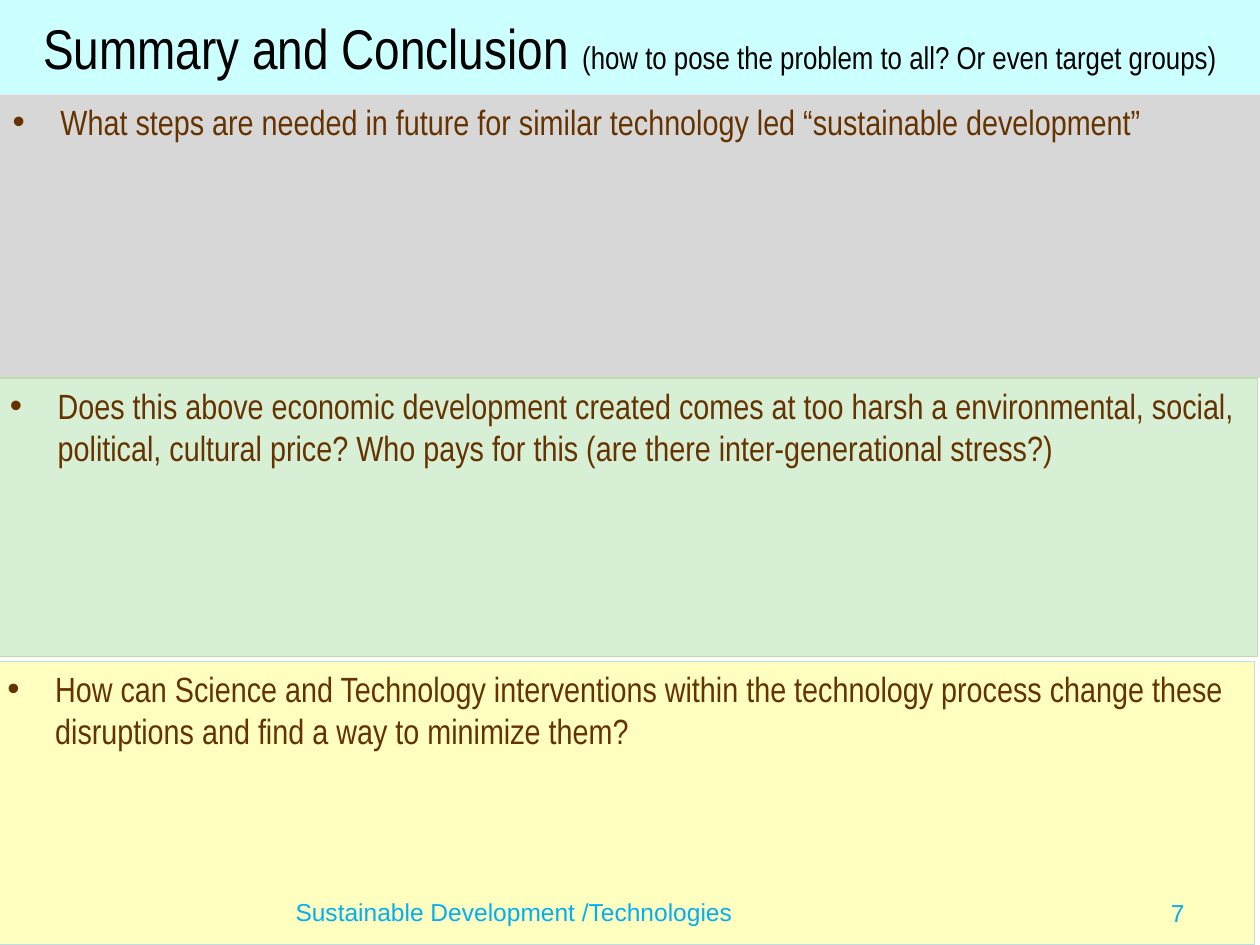
from lxml import etree
from pptx import Presentation
from pptx.dml.color import RGBColor
from pptx.enum.shapes import MSO_SHAPE as SHAPE
from pptx.enum.text import MSO_ANCHOR as ANCHOR, MSO_AUTO_SIZE as AUTOSIZE, PP_ALIGN as ALIGN
from pptx.oxml.ns import qn
from pptx.util import Inches, Pt

COLORS = {
    "title": "CCFFFF", "title_text": "000000", "text": "663300", "footer": "00B0F0",
    "gray": "BFBFBF", "green": "BFE5B9", "green_line": "BFDDAB",
    "yellow": "FFFF99", "yellow_line": "BBE0E3",
}


def rgb(name):
    return RGBColor.from_string(COLORS[name])


def place(sp, x, y, w, h):
    sp.left, sp.top, sp.width, sp.height = (Inches(v) for v in (x, y, w, h))


def fill(sp, color, alpha=None):
    sp.fill.solid()
    sp.fill.fore_color.rgb = rgb(color)
    if alpha is not None:
        clr = sp.fill._xPr.find(".//" + qn("a:srgbClr"))
        etree.SubElement(clr, qn("a:alpha"), val=str(alpha * 1000))


def add_bullet(p, color):
    pPr = p._p.get_or_add_pPr()
    pPr.set("marL", str(Inches(0.38)))
    pPr.set("indent", str(-Inches(0.38)))
    bu_clr = etree.SubElement(pPr, qn("a:buClr"))
    etree.SubElement(bu_clr, qn("a:srgbClr"), val=COLORS[color])
    etree.SubElement(pPr, qn("a:buFont"), typeface="Arial")
    etree.SubElement(pPr, qn("a:buChar"), char="•")


def write(sp, *runs, font="Arial Narrow", color="text", align=ALIGN.LEFT,
          anchor=ANCHOR.TOP, bullet=False):
    """Fill a shape with one paragraph of (text, size) runs."""
    tf = sp.text_frame
    tf.word_wrap = True
    tf.auto_size = AUTOSIZE.NONE
    tf.vertical_anchor = anchor
    p = tf.paragraphs[0]
    p.alignment = align
    p.space_before = Pt(0)
    if bullet:
        add_bullet(p, color)
    for text, size in runs:
        r = p.add_run()
        r.text = text
        r.font.name, r.font.size = font, Pt(size)
        r.font.color.rgb = rgb(color)


def add_panel(s, x, y, w, h, color, line):
    sp = s.shapes.add_shape(SHAPE.RECTANGLE, 0, 0, 0, 0)
    place(sp, x, y, w, h)
    sp.shadow.inherit = False
    sp.line.color.rgb = rgb(line)
    sp.line.width = Pt(0.75)
    fill(sp, color, 61)
    return sp


def add_footer(s, text, x, y, w, h, align):
    sp = s.shapes.add_textbox(*(Inches(v) for v in (x, y, w, h)))
    write(sp, (text, 14), font="Arial", color="footer", align=align)


def main():
    prs = Presentation()
    prs.slide_width, prs.slide_height = Inches(10), Inches(7.5)
    s = prs.slides.add_slide(prs.slide_layouts[1])

    # Title band
    title = s.shapes.title
    place(title, 0, 0, 10, 0.75)
    fill(title, "title")
    write(title, ("Summary and Conclusion ", 32),
          ("(how to pose the problem to all? Or even target groups)", 18),
          color="title_text", align=ALIGN.CENTER, anchor=ANCHOR.MIDDLE)

    # Three question panels
    body = s.placeholders[1]
    place(body, 0, 0.75, 10, 2.25)
    fill(body, "gray", 61)
    green = add_panel(s, -0.02, 3, 10, 2.21, "green", "green_line")
    yellow = add_panel(s, -0.04, 5.25, 10, 2.25, "yellow", "yellow_line")
    questions = [
        (body, "What steps are needed in future for similar technology led "
               "“sustainable development”"),
        (green, "Does this above economic development created comes at too harsh a "
                "environmental, social, political, cultural price? Who pays for this "
                "(are there inter-generational stress?)"),
        (yellow, "How can Science and Technology interventions within the technology "
                 "process change these disruptions and find a way to minimize them?"),
    ]
    for sp, text in questions:
        write(sp, (text, 20), bullet=True)

    # Footer and slide number
    add_footer(s, "Sustainable Development /Technologies", 1.58, 7.07, 5, 0.43, ALIGN.CENTER)
    add_footer(s, "7", 8.67, 7.08, 0.83, 0.27, ALIGN.RIGHT)

    prs.save("out.pptx")


if __name__ == "__main__":
    main()
